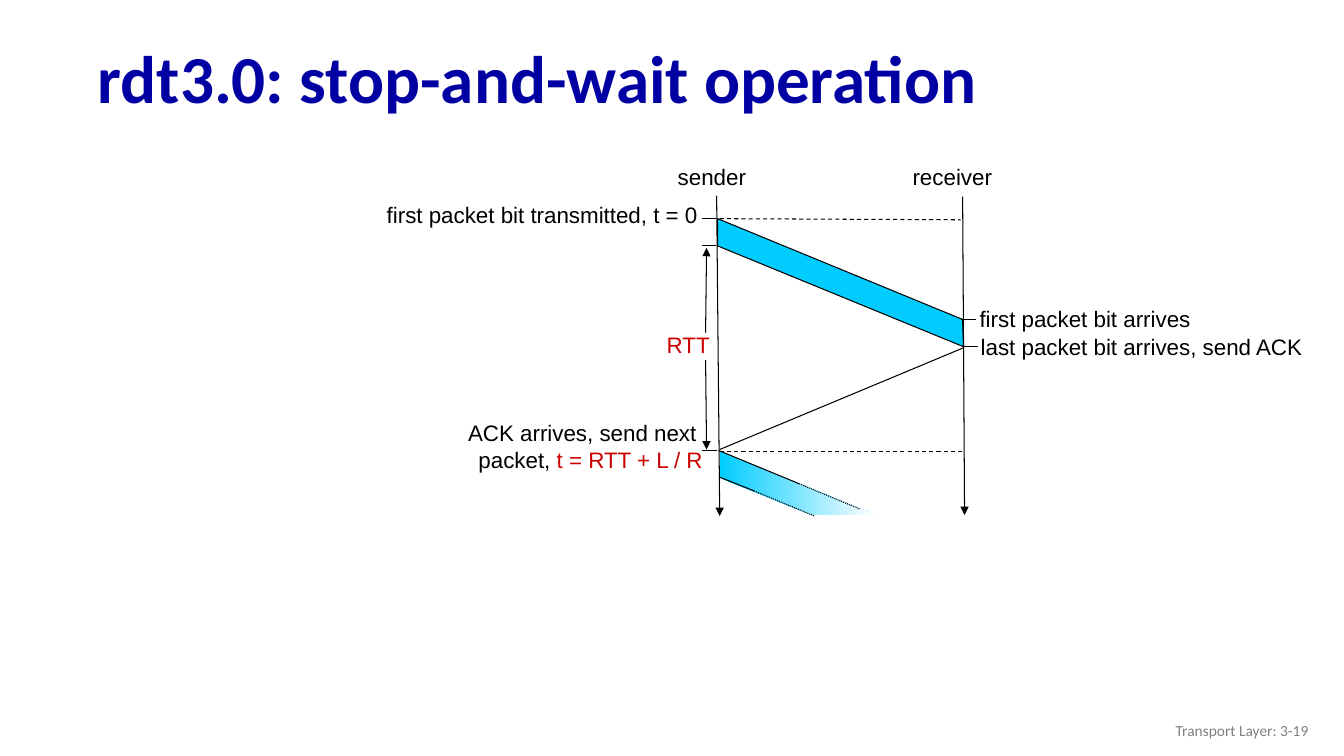
from dataclasses import dataclass

from lxml import etree
from pptx import Presentation
from pptx.dml.color import RGBColor
from pptx.enum.dml import MSO_LINE
from pptx.enum.shapes import MSO_CONNECTOR
from pptx.enum.text import MSO_ANCHOR, PP_ALIGN
from pptx.oxml.ns import qn
from pptx.util import Pt

LEFT, RIGHT = PP_ALIGN.LEFT, PP_ALIGN.RIGHT
TOP, MIDDLE = MSO_ANCHOR.TOP, MSO_ANCHOR.MIDDLE
DASH, DOT = MSO_LINE.DASH, MSO_LINE.ROUND_DOT
STRAIGHT = MSO_CONNECTOR.STRAIGHT


@dataclass(frozen=True)
class Theme:
    navy = RGBColor(0x00, 0x00, 0xA3)
    black = RGBColor(0x00, 0x00, 0x00)
    white = RGBColor(0xFF, 0xFF, 0xFF)
    red = RGBColor(0xCC, 0x00, 0x00)
    cyan = RGBColor(0x00, 0xCC, 0xFF)
    gray = RGBColor(0x80, 0x80, 0x80)
    head = "Calibri"
    body = "Arial"
    big = Pt(48)
    mid = Pt(16)
    small = Pt(11)
    thin = Pt(0.75)


theme = Theme()
deck = Presentation()
deck.slide_width, deck.slide_height = Pt(960), Pt(540)
slide = deck.slides.add_slide(deck.slide_layouts[5])
shapes = slide.shapes


def label(box, lines, align=LEFT, color=theme.black, size=theme.mid,
          face=theme.body, anchor=TOP):
    item = shapes.add_textbox(*(Pt(n) for n in box))
    frame = item.text_frame
    frame.word_wrap = True
    frame.vertical_anchor = anchor
    frame.text = lines
    for para in frame.paragraphs:
        para.alignment = align
        para.font.name, para.font.size = face, size
        para.font.color.rgb = color
    return item


def rule(x1, y1, x2, y2, dash=None, arrow=False):
    line = shapes.add_connector(STRAIGHT, Pt(x1), Pt(y1), Pt(x2), Pt(y2))
    line.line.color.rgb = theme.black
    line.line.width = theme.thin
    if dash:
        line.line.dash_style = dash
    if arrow:
        stroke = line.line._get_or_add_ln()
        etree.SubElement(stroke, qn("a:tailEnd"), type="triangle")
    etree.SubElement(line._element.spPr, qn("a:effectLst"))


# Title
title = shapes.title
title.left, title.top, title.width, title.height = Pt(62.6), Pt(23), Pt(874), Pt(70.6)
title.text_frame.text = "rdt3.0: stop-and-wait operation"
title.text_frame.vertical_anchor = MIDDLE
para = title.text_frame.paragraphs[0]
para.alignment, para.line_spacing = LEFT, 0.9
para.font.name, para.font.size, para.font.bold = theme.head, theme.big, True
para.font.color.rgb = theme.navy

# Labels on white
for box, words in (
    ((251.3, 140.4, 254.2, 28), "first packet bit transmitted, t = 0"),
    ((470.2, 113, 69.8, 27.4), "sender"),
    ((641.5, 113, 74.2, 27.4), "receiver"),
):
    plate = label(box, words, RIGHT)
    plate.fill.solid()
    plate.fill.fore_color.rgb = theme.white

# Other labels
label((447, 233.3, 67, 26.6), "RTT", RIGHT, theme.red)
label((692.6, 214.6, 190.8, 28), "first packet bit arrives")
label((693.4, 234.7, 245.5, 44.6), "last packet bit arrives, send ACK")
ack = label((297.4, 295.9, 211.7, 49.7), "ACK arrives, send next \npacket, ", RIGHT)
time = ack.text_frame.paragraphs[1].add_run()
time.text = "t = RTT + L / R"
time.font.color.rgb = theme.red

# Packets in flight
packs = []
for first, *rest in (
    ((512.6, 156.2), (687.6, 228.2), (688.3, 247.7), (512.6, 175.7)),
    ((514.1, 322.6), (625.7, 367.9), (580.3, 367.9), (514.1, 341.3)),
):
    pen = shapes.build_freeform(Pt(first[0]), Pt(first[1]))
    pen.add_line_segments([(Pt(x), Pt(y)) for x, y in rest], close=True)
    pack = pen.convert_to_shape()
    pack.shadow.inherit = False
    packs.append(pack)
whole, fading = packs
whole.fill.solid()
whole.fill.fore_color.rgb = theme.cyan
whole.line.color.rgb = theme.black
whole.line.width = theme.thin
fading.fill.gradient()
fading.fill.gradient_angle = 0
for stop, color in zip(fading.fill.gradient_stops, (theme.cyan, theme.white)):
    stop.color.rgb = color
fading.line.fill.background()

# Time axes and round-trip arrows
for ends in (
    (511.9, 139.7, 514.1, 368.6),
    (687.6, 140.4, 689, 367.9),
    (504, 257, 504.7, 321.1),
    (504, 237.6, 504.7, 177.1),
):
    rule(*ends, arrow=True)

# Time levels
rule(514.1, 156.2, 686.2, 157, DASH)
rule(514.1, 322.6, 686.9, 322.6, DASH)

# Ticks
for x, y in ((501.1, 156.2), (501.1, 175.7), (501.8, 321.8),
             (686.5, 228.2), (688.3, 247.7)):
    rule(x, y, x + 10.4, y)

# Acknowledgement
rule(514.1, 321.1, 688.3, 248.4)

# Edges of the next packet, solid then dotted
for start, bend, end in (
    ((513.4, 321.8), (571, 345.6), (614.2, 363.6)),
    ((513.4, 340.6), (538.6, 350.6), (581.8, 368.6)),
):
    rule(*start, *bend)
    rule(*bend, *end, DOT)

# Footer
label((725.8, 507.6, 216, 28.8), "Transport Layer: 3-19", RIGHT,
      theme.gray, theme.small, theme.head, MIDDLE)

deck.save("out.pptx")
